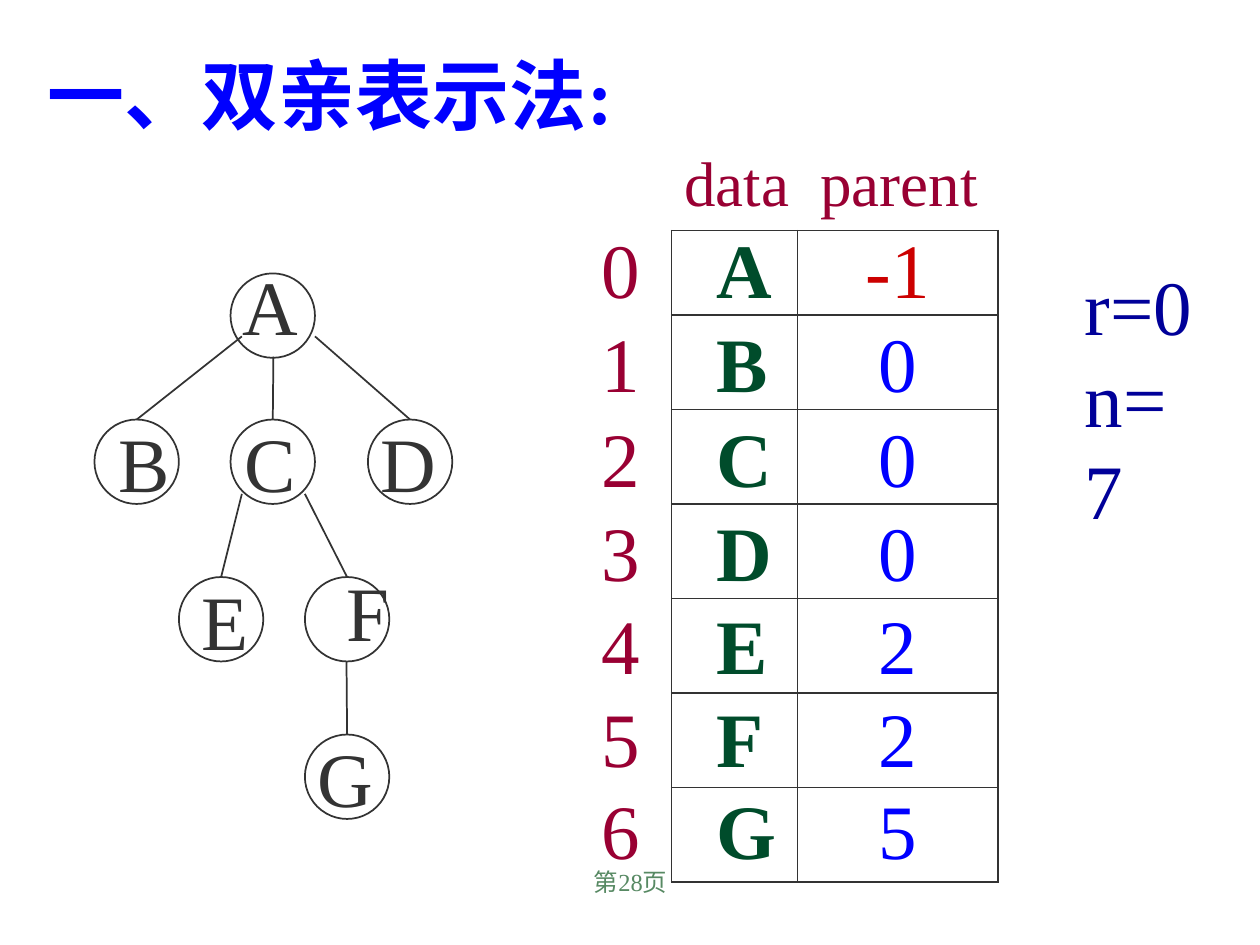
from dataclasses import dataclass

from lxml.etree import SubElement as Sub
from pptx import Presentation
from pptx.dml.color import RGBColor as Rgb
from pptx.enum.shapes import MSO_CONNECTOR as Conn, MSO_SHAPE as Shape
from pptx.enum.text import MSO_ANCHOR as Anchor, PP_ALIGN as Align
from pptx.oxml import parse_xml
from pptx.oxml.ns import nsdecls, qn
from pptx.util import Inches, Pt


@dataclass(frozen=True)
class Theme:
    face: str = "Times New Roman"
    ink: str = "333333"
    blue: str = "0000FF"
    navy: str = "000099"
    wine: str = "990033"
    green: str = "004C2B"
    red: str = "CC0000"
    sage: str = "578963"
    big: int = 44
    head: int = 36
    small: int = 14
    line: int = 1


class Deck:
    def __init__(self, theme, wide, high):
        self.theme = theme
        self.show = Presentation()
        self.show.slide_width = Inches(wide)
        self.show.slide_height = Inches(high)
        self.slide = self.show.slides.add_slide(self.show.slide_layouts[5])

    def style(self, para, color, size, bold=False, align=Align.LEFT):
        para.alignment = align
        font = para.font
        font.name, font.size, font.bold = self.theme.face, Pt(size), bold
        font.color.rgb = Rgb.from_string(color)

    def fill(self, frame, text, color, size, bold=False, align=Align.LEFT, wrap=False):
        frame.word_wrap = wrap
        frame.vertical_anchor = Anchor.TOP
        frame.text = text
        for para in frame.paragraphs:
            self.style(para, color, size, bold, align)

    def title(self, text, x, y, w, h):
        box = self.slide.shapes.title
        box.left, box.top, box.width, box.height = map(Inches, (x, y, w, h))
        self.fill(box.text_frame, text, self.theme.blue, self.theme.big, True)

    def text(self, text, x, y, w, h, color, size, **look):
        box = self.slide.shapes.add_textbox(*map(Inches, (x, y, w, h)))
        self.fill(box.text_frame, text, color, size, **look)

    def ring(self, x, y, side):
        ring = self.slide.shapes.add_shape(Shape.OVAL, *map(Inches, (x, y, side, side)))
        ring.shadow.inherit = False
        ring.fill.background()
        ring.line.color.rgb = Rgb.from_string(self.theme.ink)
        ring.line.width = Pt(self.theme.line)
        return ring

    def link(self, x, y, child):
        line = self.slide.shapes.add_connector(
            Conn.STRAIGHT, Inches(x), Inches(y), child.left, child.top)
        line.end_connect(child, 0)
        line.line.color.rgb = Rgb.from_string(self.theme.ink)
        line.line.width = Pt(self.theme.line)
        Sub(line._element.spPr, qn("a:effectLst"))

    def table(self, x, y, cols, rows):
        frame = self.slide.shapes.add_table(
            len(rows), len(cols), Inches(x), Inches(y),
            Inches(sum(cols)), Inches(sum(rows)))
        table = frame.table
        table.first_row = table.horz_banding = False
        mark = table._tbl.tblPr.find(qn("a:tableStyleId"))
        mark.text = "{2D5ABB26-0587-4C30-8999-92F81FD0307C}"
        for col, wide in zip(table.columns, cols):
            col.width = Inches(wide)
        for row, high in zip(table.rows, rows):
            row.height = Inches(high)
        return table

    def cell(self, cell, text, color, size, left=0.0, base=0.0, edge=True, **look):
        cell.margin_left, cell.margin_bottom = Inches(left), Inches(base)
        cell.margin_right = cell.margin_top = 0
        cell.vertical_anchor = Anchor.BOTTOM
        cell.fill.background()
        cell.text = text
        para = cell.text_frame.paragraphs[0]
        para.line_spacing = Pt(size)
        self.style(para, color, size, **look)
        if edge:
            self.edge(cell)

    def edge(self, cell):
        props = cell._tc.get_or_add_tcPr()
        for spot, side in enumerate("LRTB"):
            props.insert(spot, parse_xml(
                f'<a:ln{side} {nsdecls("a")} w="{Pt(self.theme.line)}"><a:solidFill>'
                f'<a:srgbClr val="{self.theme.ink}"/></a:solidFill></a:ln{side}>'))


NODES = {
    "A": (1.83, 2.17, 1.83, 2),
    "B": (0.75, 3.33, 0.84, 3.25),
    "C": (1.83, 3.33, 1.84, 3.25),
    "D": (2.92, 3.33, 2.92, 3.25),
    "E": (1.42, 4.58, 1.5, 4.5),
    "F": (2.42, 4.58, 2.65, 4.43),
    "G": (2.42, 5.83, 2.42, 5.75),
}
LINKS = {
    "B": (1.92, 2.67), "C": (2.17, 2.83), "D": (2.5, 2.67),
    "E": (1.92, 3.92), "F": (2.42, 3.92), "G": (2.75, 5.25),
}
PARENTS = ["-1", "0", "0", "0", "2", "2", "5"]


def draw_tree(deck):
    look = deck.theme
    rings = {}
    for name, (x, y, left, top) in NODES.items():
        rings[name] = deck.ring(x, y, 0.67)
        deck.text(name, left, top, 0.64, 0.84, look.ink, look.big)
    for name, (x, y) in LINKS.items():
        deck.link(x, y, rings[name])


def draw_table(deck):
    look = deck.theme
    table = deck.table(4.67, 1.08, [0.66, 1, 1.59], [0.75, 0.67] + [0.75] * 6)
    heads = [("", 0), ("data", 0.1), ("parent", 0.18)]
    for col, (text, left) in enumerate(heads):
        deck.cell(table.cell(0, col), text, look.wine, look.head, left, 0.08, False)
    for row, (name, parent) in enumerate(zip(NODES, PARENTS)):
        num, data, link = (table.cell(row + 1, col) for col in range(3))
        base = max(0, 0.015 * (row - 3))
        deck.cell(num, str(row), look.wine, look.big, 0.1, base, False)
        deck.cell(data, name, look.green, look.big, 0.36, base, bold=True)
        color = look.blue if row else look.red
        deck.cell(link, parent, color, look.big, 0, base, align=Align.CENTER)


def main():
    look = Theme()
    deck = Deck(look, 10, 7.5)
    deck.title("一、双亲表示法:", 0.28, 0.33, 4.83, 0.84)
    deck.text("第28页", 3.42, 6.83, 3.17, 0.5, look.sage, look.small,
              align=Align.CENTER, wrap=True)
    draw_tree(deck)
    draw_table(deck)
    deck.text("r=0\nn=7", 8.51, 2, 1.15, 1.57, look.navy, look.big)
    deck.show.save("out.pptx")


if __name__ == "__main__":
    main()
